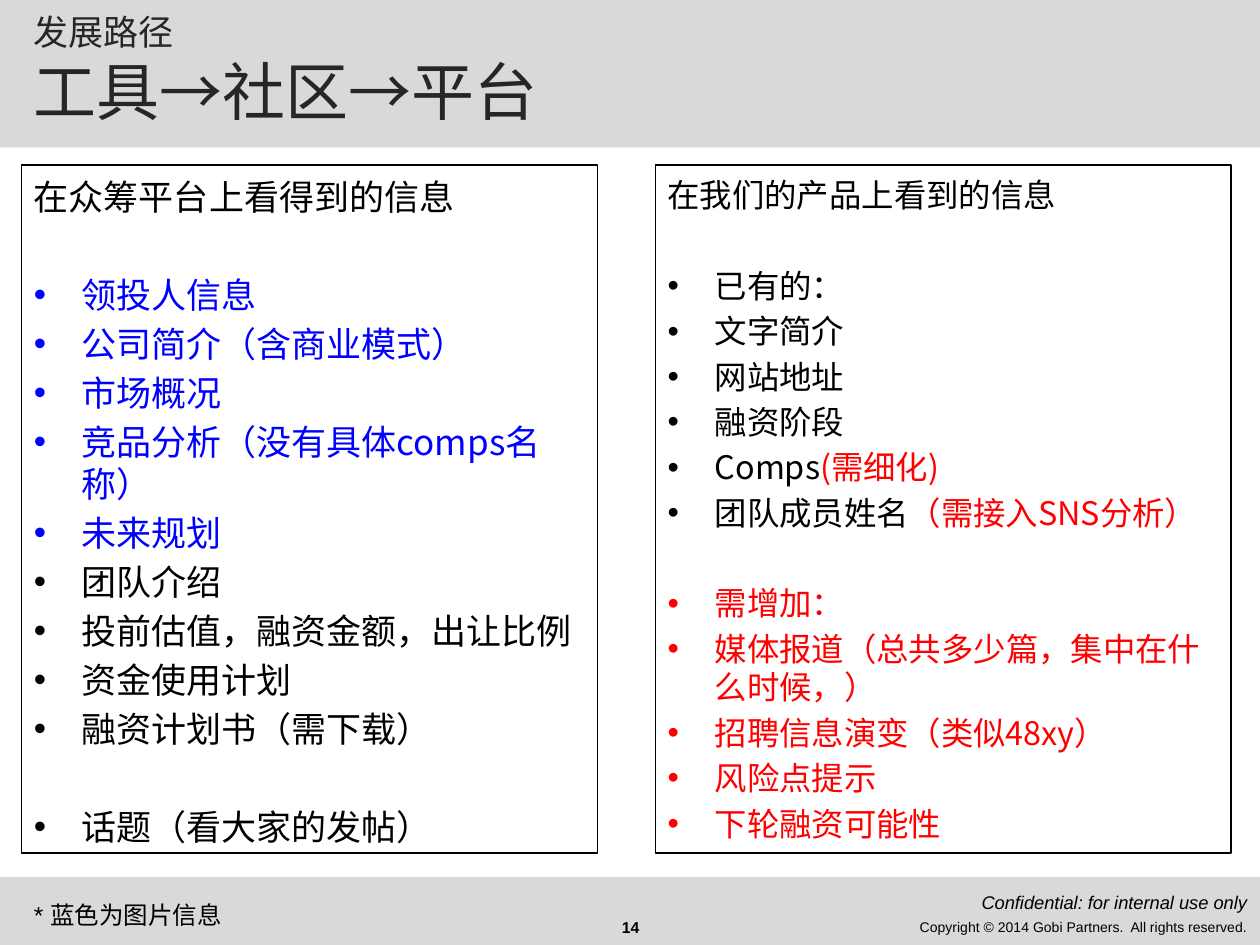
from lxml.etree import SubElement
from pptx import Presentation
from pptx.dml.color import RGBColor
from pptx.enum.shapes import MSO_SHAPE as Shape
from pptx.enum.text import MSO_ANCHOR as Anchor, PP_ALIGN as Align
from pptx.oxml.ns import qn
from pptx.util import Pt

BLACK = RGBColor(0x00, 0x00, 0x00)
DARK = RGBColor(0x26, 0x26, 0x26)
GRAY = RGBColor(0xD9, 0xD9, 0xD9)
BLUE = RGBColor(0x00, 0x00, 0xFF)
RED = RGBColor(0xFF, 0x00, 0x00)

CJK_FONT = "Noto Sans CJK SC"
LATIN_FONT = "Arial"
LINE_RATIO = 1.2
GAP_RATIO = 0.2
INDENT = Pt(27)
WIDTH, HEIGHT = 720, 540

# Each item is its runs, as (text, colour), and whether a gap precedes it.
CROWDFUNDING_ITEMS = [
    ([("领投人信息", BLUE)], True),
    ([("公司简介（含商业模式）", BLUE)], False),
    ([("市场概况", BLUE)], False),
    ([("竞品分析（没有具体comps名称）", BLUE)], False),
    ([("未来规划", BLUE)], False),
    ([("团队介绍", BLACK)], False),
    ([("投前估值，融资金额，出让比例", BLACK)], False),
    ([("资金使用计划", BLACK)], False),
    ([("融资计划书（需下载）", BLACK)], False),
    ([("话题（看大家的发帖）", BLACK)], True),
]
PRODUCT_ITEMS = [
    ([("已有的：", BLACK)], True),
    ([("文字简介", BLACK)], False),
    ([("网站地址", BLACK)], False),
    ([("融资阶段", BLACK)], False),
    ([("Comps", BLACK), ("(需细化)", RED)], False),
    ([("团队成员姓名", BLACK), ("（需接入SNS分析）", RED)], False),
    ([("需增加：", RED)], True),
    ([("媒体报道（总共多少篇，集中在什么时候，）", RED)], False),
    ([("招聘信息演变（类似48xy）", RED)], False),
    ([("风险点提示", RED)], False),
    ([("下轮融资可能性", RED)], False),
]


def add_run(paragraph, text, size, color=BLACK, font_name=CJK_FONT, bold=False, italic=False):
    run = paragraph.add_run()
    run.text = text
    font = run.font
    font.name, font.size = font_name, Pt(size)
    font.bold, font.italic = bold, italic
    font.color.rgb = color
    SubElement(font._element, qn("a:ea"), typeface=CJK_FONT)


def add_bullet(paragraph):
    properties = paragraph._p.get_or_add_pPr()
    properties.set("marL", str(INDENT))
    properties.set("indent", str(-INDENT))
    SubElement(properties, qn("a:buFont"), typeface=LATIN_FONT)
    SubElement(properties, qn("a:buChar"), char="•")


def add_band(slide, top, height):
    band = slide.shapes.add_shape(Shape.RECTANGLE, 0, Pt(top), Pt(WIDTH), Pt(height))
    band.shadow.inherit = False
    band.fill.solid()
    band.fill.fore_color.rgb = GRAY
    band.line.fill.background()


def add_text_box(slide, left, top, width, height, anchor=Anchor.MIDDLE):
    box = slide.shapes.add_textbox(Pt(left), Pt(top), Pt(width), Pt(height))
    frame = box.text_frame
    frame.word_wrap = True
    frame.vertical_anchor = anchor
    return frame


def add_label(slide, box, text, size, align=Align.LEFT, bold=False, italic=False):
    paragraph = add_text_box(slide, *box).paragraphs[0]
    paragraph.alignment = align
    add_run(paragraph, text, size, font_name=LATIN_FONT, bold=bold, italic=italic)


def add_title(slide, lines):
    frame = add_text_box(slide, 12.24, 0, 576, 84.24, Anchor.TOP)
    frame.margin_top = Pt(6)
    for index, (text, size) in enumerate(lines):
        paragraph = frame.add_paragraph() if index else frame.paragraphs[0]
        paragraph.line_spacing = Pt(size * LINE_RATIO)
        add_run(paragraph, text, size, DARK)


def add_panel(slide, left, heading, items, size):
    """Outlined box with a heading and a bulleted list."""
    panel = slide.shapes.add_shape(Shape.RECTANGLE, Pt(left), Pt(94.32), Pt(329.04), Pt(393.12))
    panel.shadow.inherit = False
    panel.fill.background()
    panel.line.color.rgb = BLACK
    panel.line.width = Pt(0.75)
    frame = panel.text_frame
    frame.word_wrap = True
    frame.vertical_anchor = Anchor.TOP
    frame.margin_top = Pt(6)

    line = size * LINE_RATIO
    gap = size * GAP_RATIO
    paragraph = frame.paragraphs[0]
    paragraph.alignment = Align.LEFT
    paragraph.line_spacing = Pt(line)
    add_run(paragraph, heading, size)
    for runs, starts_group in items:
        paragraph = frame.add_paragraph()
        add_bullet(paragraph)
        paragraph.alignment = Align.LEFT
        paragraph.line_spacing = Pt(line)
        paragraph.space_before = Pt(line + 2 * gap if starts_group else gap)
        for text, color in runs:
            add_run(paragraph, text, size, color)


def main():
    presentation = Presentation()
    presentation.slide_width, presentation.slide_height = Pt(WIDTH), Pt(HEIGHT)
    slide = presentation.slides.add_slide(presentation.slide_layouts[6])

    add_band(slide, 501.12, 38.88)
    add_band(slide, 0, 84.24)
    add_label(slide, (246.24, 515.52, 228.24, 28.8), "14", 9, Align.CENTER, bold=True)
    add_label(slide, (432, 515.52, 288, 28.8),
              "Copyright © 2014 Gobi Partners.  All rights reserved.", 8, Align.RIGHT)
    add_label(slide, (432, 501.12, 288, 28.8),
              "Confidential: for internal use only", 10.5, Align.RIGHT, italic=True)
    add_title(slide, [("发展路径", 20), ("工具→社区→平台", 36)])
    add_panel(slide, 12.24, "在众筹平台上看得到的信息", CROWDFUNDING_ITEMS, 20)
    add_panel(slide, 374.4, "在我们的产品上看到的信息", PRODUCT_ITEMS, 18.5)
    add_label(slide, (12.24, 510.48, 318.24, 24.48), "* 蓝色为图片信息", 14)

    presentation.save("out.pptx")


if __name__ == "__main__":
    main()
